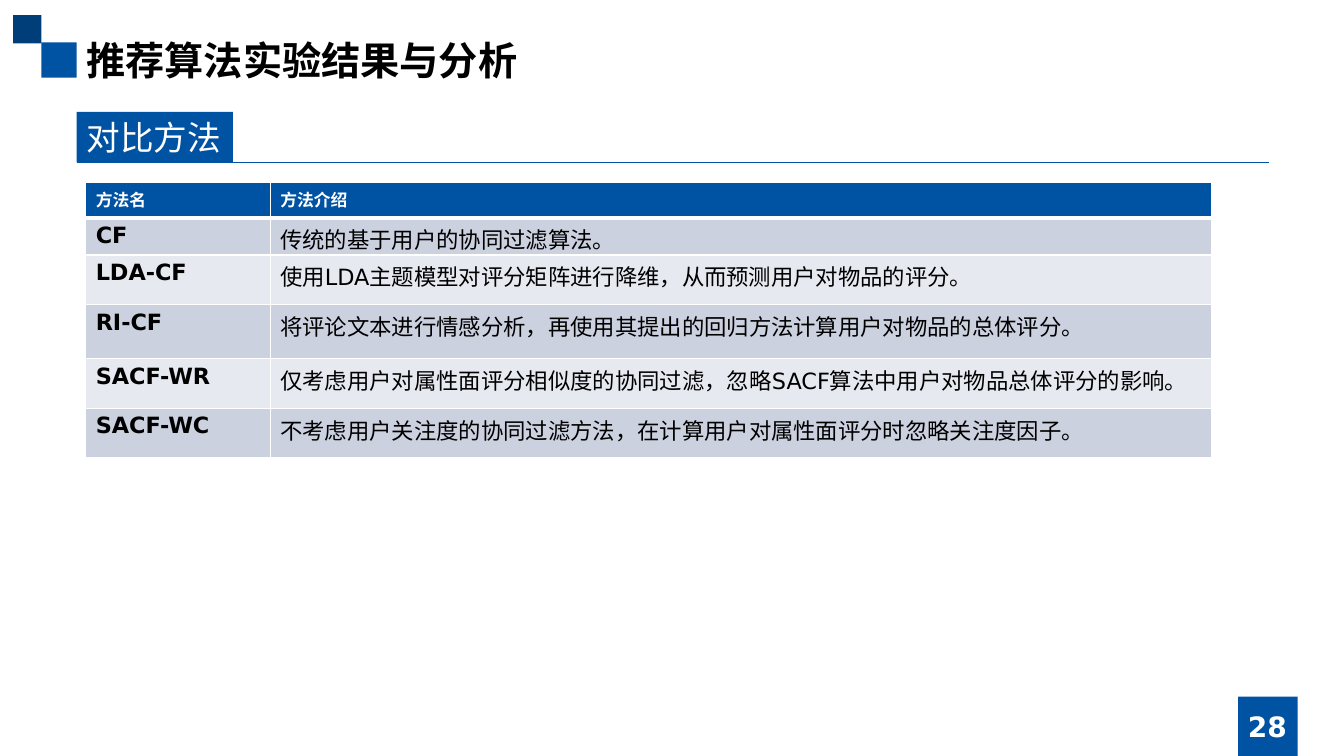
from typing import Any, NamedTuple

import pptx
import pptx.dml.color
import pptx.enum.shapes
import pptx.enum.text
import pptx.oxml
import pptx.oxml.ns
import pptx.util

PX = 9144  # EMU per px, 100 px to the inch
FONT = "DejaVu Sans"
BLUE, NAVY, WHITE, BLACK = "0053A3", "003E7A", "FFFFFF", "000000"
BANDS = ("CCD1E0", "E7E9F0")
PP_ALIGN = pptx.enum.text.PP_ALIGN
MIDDLE = pptx.enum.text.MSO_ANCHOR.MIDDLE


class Block(NamedTuple):
    x: int
    y: int
    w: int
    h: int
    color: str


class Method(NamedTuple):
    name: str
    intro: str
    height: int


CORNER_BLOCKS = (
    Block(41, 42, 35, 35, BLUE),
    Block(13, 15, 28, 28, NAVY),
    Block(1228, 691, 59, 59, BLUE),
)
METHODS = (
    Method("方法名", "方法介绍", 35),
    Method("CF", "传统的基于用户的协同过滤算法。", 37),
    Method("LDA-CF", "使用LDA主题模型对评分矩阵进行降维，从而预测用户对物品的评分。", 49),
    Method("RI-CF", "将评论文本进行情感分析，再使用其提出的回归方法计算用户对物品的总体评分。", 54),
    Method("SACF-WR", "仅考虑用户对属性面评分相似度的协同过滤，忽略SACF算法中用户对物品总体评分的影响。", 49),
    Method("SACF-WC", "不考虑用户关注度的协同过滤方法，在计算用户对属性面评分时忽略关注度因子。", 49),
)
COLUMNS = (183, 934)


def px(*values: int) -> list[int]:
    return [pptx.util.Emu(v * PX) for v in values]


def rgb(color: str) -> pptx.dml.color.RGBColor:
    return pptx.dml.color.RGBColor.from_string(color)


def write(tf: Any, text: str, *, size: int, color: str = BLACK,
          bold: bool = False, align: Any = PP_ALIGN.LEFT) -> None:
    p = tf.paragraphs[0]
    p.alignment = align
    r = p.add_run()
    r.text = text
    r.font.name = FONT
    r.font.size = pptx.util.Pt(size)
    r.font.bold = bold
    r.font.color.rgb = rgb(color)


def add_block(s: Any, block: Block) -> Any:
    sp = s.shapes.add_shape(pptx.enum.shapes.MSO_SHAPE.RECTANGLE, *px(*block[:4]))
    sp.shadow.inherit = False
    sp.fill.solid()
    sp.fill.fore_color.rgb = rgb(block.color)
    sp.line.fill.background()
    return sp


def add_text(s: Any, x: int, y: int, w: int, h: int, text: str, **fmt: Any) -> None:
    tf = s.shapes.add_textbox(*px(x, y, w, h)).text_frame
    tf.word_wrap = True
    tf.vertical_anchor = MIDDLE
    write(tf, text, **fmt)


def add_rule(s: Any, x1: int, y1: int, x2: int, y2: int) -> None:
    line = s.shapes.add_connector(
        pptx.enum.shapes.MSO_CONNECTOR.STRAIGHT, *px(x1, y1, x2, y2))
    line.line.color.rgb = rgb(BLUE)
    line.line.width = pptx.util.Pt(0.5)
    pptx.oxml.ns.qn("a:effectLst")
    line._element.spPr.append(pptx.oxml.parse_xml(
        f'<a:effectLst {pptx.oxml.ns.nsdecls("a")}/>'))


def set_borders(cell: Any, top: int, bottom: int) -> None:
    widths = {"lnL": 1, "lnR": 1, "lnT": top, "lnB": bottom}
    for i, (tag, width) in enumerate(widths.items()):
        # Borders come before the fill in the cell properties
        cell._tc.get_or_add_tcPr().insert(i, pptx.oxml.parse_xml(
            f'<a:{tag} {pptx.oxml.ns.nsdecls("a")} w="{pptx.util.Pt(width)}">'
            f'<a:solidFill><a:srgbClr val="{WHITE}"/></a:solidFill></a:{tag}>'))


def add_methods_table(s: Any, x: int, y: int) -> None:
    height = sum(m.height for m in METHODS)
    table = s.shapes.add_table(len(METHODS), len(COLUMNS),
                               *px(x, y, sum(COLUMNS), height)).table
    for column, width in zip(table.columns, px(*COLUMNS)):
        column.width = width
    for i, method in enumerate(METHODS):
        header = i == 0
        table.rows[i].height = px(method.height)[0]
        for j, text in enumerate((method.name, method.intro)):
            cell = table.cell(i, j)
            cell.fill.solid()
            cell.fill.fore_color.rgb = rgb(BLUE if header else BANDS[(i - 1) % 2])
            set_borders(cell, top=3 if i == 1 else 1, bottom=3 if header else 1)
            if not header:
                cell.margin_bottom = 0
            write(cell.text_frame, text, size=12 if header else 16,
                  color=WHITE if header else BLACK, bold=header or j == 0)


def main() -> None:
    prs = pptx.Presentation()
    prs.slide_width, prs.slide_height = px(1333, 750)
    s = prs.slides.add_slide(prs.slide_layouts[6])

    # Corner decoration, title and page number
    for block in CORNER_BLOCKS:
        add_block(s, block)
    add_text(s, 76, 31, 1181, 57, "推荐算法实验结果与分析", size=28, bold=True)
    add_text(s, 1181, 701, 152, 40, "28", size=20, color=WHITE, bold=True,
             align=PP_ALIGN.CENTER)

    # Section label with its rule
    tf = add_block(s, Block(76, 111, 155, 50, BLUE)).text_frame
    tf.word_wrap = False
    tf.vertical_anchor = MIDDLE
    write(tf, "对比方法", size=24, color=WHITE)
    add_rule(s, 76, 161, 1259, 161)

    # Compared methods
    add_methods_table(s, 85, 181)
    prs.save("out.pptx")


if __name__ == "__main__":
    main()
